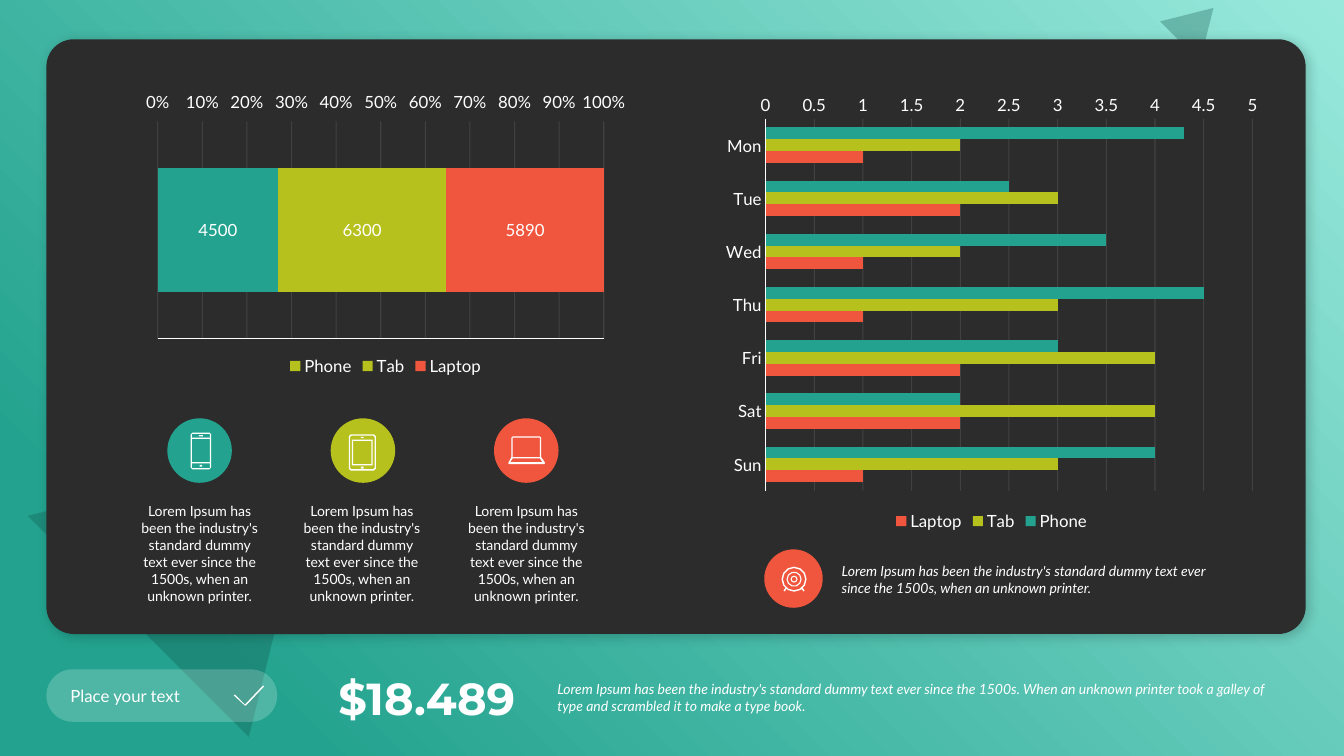
from math import cos, pi, sin

from pptx import Presentation
from pptx.chart.data import CategoryChartData
from pptx.dml.color import RGBColor
from pptx.enum.chart import (XL_CHART_TYPE, XL_LEGEND_POSITION,
                             XL_TICK_LABEL_POSITION, XL_TICK_MARK)
from pptx.enum.shapes import MSO_SHAPE
from pptx.enum.text import MSO_ANCHOR, MSO_AUTO_SIZE, PP_ALIGN
from pptx.oxml import parse_xml
from pptx.oxml.ns import nsdecls
from pptx.util import Inches, Pt

RECT, ROUND = MSO_SHAPE.RECTANGLE, MSO_SHAPE.ROUNDED_RECTANGLE
OVAL, WEDGE = MSO_SHAPE.OVAL, MSO_SHAPE.ISOSCELES_TRIANGLE
STACK, BARS = XL_CHART_TYPE.BAR_STACKED_100, XL_CHART_TYPE.BAR_CLUSTERED
BELOW, HIGH = XL_LEGEND_POSITION.BOTTOM, XL_TICK_LABEL_POSITION.HIGH
NO_TICK, FIT = XL_TICK_MARK.NONE, MSO_AUTO_SIZE.SHAPE_TO_FIT_TEXT
TOP, MIDDLE = MSO_ANCHOR.TOP, MSO_ANCHOR.MIDDLE
LEFT, CENTER, RIGHT = PP_ALIGN.LEFT, PP_ALIGN.CENTER, PP_ALIGN.RIGHT

WHITE = RGBColor(0xFF, 0xFF, 0xFF)
DARK = RGBColor(0x2C, 0x2C, 0x2C)
TEAL = RGBColor(0x23, 0xA3, 0x8F)
MINT = RGBColor(0x98, 0xE9, 0xDC)
PINE = RGBColor(0x11, 0x52, 0x48)
LIME = RGBColor(0xB7, 0xC1, 0x1E)
CORAL = RGBColor(0xF0, 0x56, 0x3D)

LOREM = "Lorem Ipsum has been the industry's standard dummy text ever since the 1500s"
SHORT = LOREM + ", when an unknown printer."
LONG = LOREM + (". When an unknown printer took a galley of type and "
                "scrambled it to make a type book.")


def fade(colors, pct):
    for color in colors:
        color.append(parse_xml(f'<a:alpha {nsdecls("a")} val="{pct * 1000}"/>'))


def shape(shapes, kind, box, color, pct=None):
    item = shapes.add_shape(kind, *map(Inches, box))
    item.shadow.inherit = False
    item.line.fill.background()
    item.fill.solid()
    item.fill.fore_color.rgb = color
    if pct:
        fade(item._element.spPr.xpath("./a:solidFill/a:srgbClr"), pct)
    return item


def text(shapes, box, words, size=10, align=LEFT, anchor=MIDDLE, face="Lato",
         bold=False, slant=False, after=0):
    item = shapes.add_textbox(*map(Inches, box))
    frame = item.text_frame
    frame.word_wrap, frame.auto_size = True, FIT
    frame.vertical_anchor = anchor
    para = frame.paragraphs[0]
    para.alignment, para.space_after = align, Pt(after)
    run = para.add_run()
    run.text = words
    font = run.font
    font.name, font.size, font.bold, font.italic = face, Pt(size), bold, slant
    font.color.rgb = WHITE


# Icon outlines, in percent of the disc that holds them
def pane(left, top, right, low, cut=0):
    if not cut:
        return [(left, top), (right, top), (right, low), (left, low)]
    return [(left + cut, top), (right - cut, top), (right, top + cut),
            (right, low - cut), (right - cut, low), (left + cut, low),
            (left, low - cut), (left, top + cut)]


def ring(rad, count):
    turns = [2 * pi * step / count for step in range(count)]
    return [(51 + rad * cos(turn), 51 + rad * sin(turn)) for turn in turns]


PHONE = [pane(36, 22, 68, 79, 3), pane(38, 24, 66, 30), pane(38, 32, 66, 68),
         pane(38, 70, 66, 77), pane(49, 26, 55, 28), pane(50, 72, 54, 75)]
TABLET = [pane(28, 25, 70, 81, 3), pane(30, 27, 68, 79, 2), pane(33, 33, 65, 73),
          pane(35, 35, 63, 71), pane(47, 29, 51, 31), pane(47, 75, 51, 78)]
LAPTOP = [[(27, 30), (29, 28), (71, 28), (73, 30), (73, 60), (79, 69), (78, 71),
           (23, 71), (22, 69), (27, 60)],
          pane(29, 30, 71, 60), [(29, 62), (71, 62), (75, 68), (25, 68)]]
TARGET = [ring(rad, count) for rad, count in
          ((21.5, 12), (19, 12), (13, 10), (11, 10), (6, 8), (4, 8))] + [
    [(36, 66), (33, 71), (35, 72), (38, 68)],
    [(66, 66), (69, 71), (67, 72), (64, 68)]]
CHECK = [[(215, 16), (216, 17), (198, 36), (197, 36), (186, 26), (187, 25),
          (197, 35)]]


def icon(shapes, left, top, size, loops):
    loops = [[(x * 100, y * 100) for x, y in loop] for loop in loops]
    pen = shapes.build_freeform(*loops[0][0], scale=Inches(size) / 10000)
    for loop in loops:
        if loop is not loops[0]:
            pen.move_to(*loop[0])
        pen.add_line_segments(loop[1:], close=True)
    item = pen.convert_to_shape(Inches(left), Inches(top))
    item.shadow.inherit = False
    item.fill.solid()
    item.fill.fore_color.rgb = WHITE
    item.line.fill.background()


def badge(shapes, left, top, size, color, loops):
    shape(shapes, OVAL, (left, top, size, size), color)
    icon(shapes, left, top, size, loops)


def chart(shapes, box, kind, cats, rows, gap):
    data = CategoryChartData()
    data.categories = cats
    for name, vals, _ in rows:
        data.add_series(name, vals)
    item = shapes.add_chart(kind, *map(Inches, box), data).chart
    item.font.name, item.font.size = "Lato", Pt(12)
    item.font.color.rgb = WHITE
    item.has_title, item.has_legend = False, True
    item.legend.position, item.legend.include_in_layout = BELOW, False
    plot = item.plots[0]
    plot.gap_width, plot.vary_by_categories = gap, False
    for series, (_, _, color) in zip(plot.series, rows):
        series.format.fill.solid()
        series.format.fill.fore_color.rgb = color
    axis = item.value_axis
    axis.major_tick_mark = item.category_axis.major_tick_mark = NO_TICK
    line = axis.major_gridlines.format.line
    line.color.rgb, line.width = WHITE, Pt(0.75)
    fade(item._chartSpace.xpath(".//c:majorGridlines//a:srgbClr"), 10)
    return item


def share(shapes, box):
    rows = [("Phone", [4500], LIME), ("Tab", [6300], LIME),
            ("Laptop", [5890], CORAL)]
    item = chart(shapes, box, STACK, ["1"], rows, 75)
    plot, axis = item.plots[0], item.value_axis
    plot.overlap = 100
    fill = plot.series[0].points[0].format.fill
    fill.solid()
    fill.fore_color.rgb = TEAL
    plot.has_data_labels = True
    plot.data_labels.show_value = True
    plot.data_labels.font.color.rgb = WHITE
    item.category_axis.visible = False
    axis.tick_label_position = HIGH
    axis.tick_labels.number_format = "0%"
    axis.tick_labels.number_format_is_linked = False
    axis.format.line.color.rgb = WHITE


def week(shapes, box):
    days = ["Mon", "Tue", "Wed", "Thu", "Fri", "Sat", "Sun"]
    rows = [("Phone", [4.3, 2.5, 3.5, 4.5, 3, 2, 4], TEAL),
            ("Tab", [2, 3, 2, 3, 4, 4, 3], LIME),
            ("Laptop", [1, 2, 1, 1, 2, 2, 1], CORAL)]
    item = chart(shapes, box, BARS, days, rows, 150)
    item.category_axis.reverse_order = True
    item.category_axis.format.line.color.rgb = WHITE
    item.value_axis.format.line.fill.background()


def backdrop(shapes, wide, high):
    fill = shape(shapes, RECT, (0, 0, wide, high), TEAL).fill
    fill.gradient()
    fill.gradient_angle = 225
    for stop, color, spot in zip(fill.gradient_stops, (MINT, TEAL), (0, 0.85)):
        stop.color.rgb, stop.position = color, spot
    for box in ((0.73, 4.02, 3.1, 2.57), (11.59, 0.01, 0.56, 0.47)):
        shape(shapes, WEDGE, box, PINE, 30).rotation = 45


def panel(shapes, left, top, wide, high):
    card = shape(shapes, ROUND, (left, top, wide, high), DARK)
    card.adjustments[0] = 0.046
    card._element.spPr.xpath("./a:effectLst")[0].append(parse_xml(
        f'<a:outerShdw {nsdecls("a")} blurRad="{Pt(8)}" dist="{Pt(3)}" '
        'dir="2700000" algn="tl" rotWithShape="0"><a:srgbClr val="000000">'
        '<a:alpha val="20000"/></a:srgbClr></a:outerShdw>'))
    share(shapes, (left + 0.89, top + 0.46, 4.95, 2.92))
    # Three devices
    for i, (x, color, loops) in enumerate(
            [(0.84, TEAL, PHONE), (2.45, LIME, TABLET), (4.08, CORAL, LAPTOP)]):
        badge(shapes, left + 1.2 + 1.62 * i, top + 3.76, 0.64, color, loops)
        text(shapes, (left + x, top + 4.55, 1.36, 1.11), SHORT, align=CENTER,
             anchor=TOP, after=6)
    # Week and its note
    week(shapes, (left + 6.63, top + 0.46, 5.49, 4.46))
    badge(shapes, left + 7.12, top + 5.06, 0.58, CORAL, TARGET)
    text(shapes, (left + 7.79, top + 5.14, 4.07, 0.44), SHORT, slant=True)


def footer(shapes, left, top):
    pill = shapes.add_group_shape().shapes
    shape(pill, ROUND, (left, top, 2.29, 0.52), WHITE, 20).adjustments[0] = 0.5
    icon(pill, left, top, 1, CHECK)
    text(pill, (left + 0.14, top + 0.11, 1.88, 0.3), "Place your text", 12)
    text(shapes, (left + 2.73, top - 0.04, 2.02, 0.64), "$18.489", 32, RIGHT,
         face="Montserrat", bold=True)
    text(shapes, (left + 4.97, top + 0.06, 7.33, 0.44), LONG, slant=True, after=6)


def main():
    deck = Presentation()
    deck.slide_width, deck.slide_height = Inches(13.33), Inches(7.5)
    shapes = deck.slides.add_slide(deck.slide_layouts[6]).shapes
    backdrop(shapes, 13.33, 7.5)
    panel(shapes, 0.46, 0.39, 12.49, 5.9)
    footer(shapes, 0.46, 6.64)
    deck.save("out.pptx")


if __name__ == "__main__":
    main()
